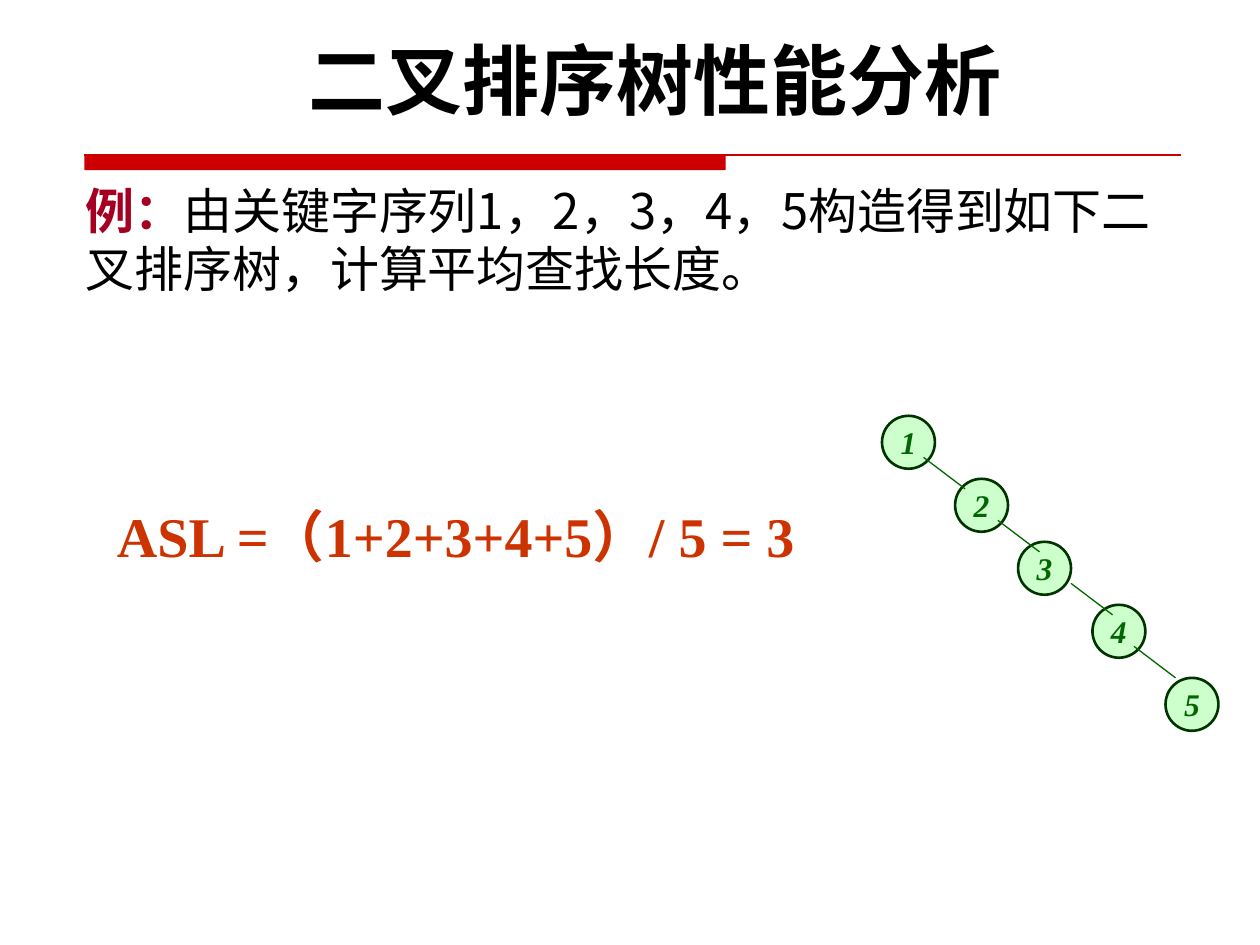
from dataclasses import dataclass

from lxml.etree import SubElement
from pptx import Presentation
from pptx.dml.color import RGBColor
from pptx.enum.shapes import MSO_CONNECTOR, MSO_SHAPE
from pptx.enum.text import MSO_ANCHOR, PP_ALIGN
from pptx.oxml.ns import qn
from pptx.slide import Slide
from pptx.text.text import _Paragraph as Paragraph, _Run as Run
from pptx.util import Inches, Pt


@dataclass(frozen=True)
class Theme:
    black: str = "000000"
    rule: str = "CC0000"
    label: str = "A50021"
    formula: str = "CC3300"
    node_fill: str = "CCFFCC"
    node_line: str = "003300"
    edge: str = "006600"
    title_font: str = "Karla"
    body_font: str = "Noto Sans CJK SC"
    formula_font: str = "Times New Roman"
    title_size: int = 44
    formula_size: int = 32
    body_size: int = 28
    node_size: int = 18
    node_width: float = 1.5
    edge_width: float = 0.75


@dataclass(frozen=True)
class Node:
    key: str
    left: float
    top: float


@dataclass(frozen=True)
class Edge:
    left: float
    top: float
    width: float = 0.33
    height: float = 0.25


THEME = Theme()
NODE_DIAMETER = 0.42
NODES = [
    Node("1", 7, 3.3),
    Node("2", 7.58, 3.8),
    Node("3", 8.08, 4.3),
    Node("4", 8.67, 4.8),
    Node("5", 9.25, 5.38),
]
EDGES = [Edge(left, 3.63 + 0.5 * level) for level, left in enumerate((7.33, 7.92, 8.5, 9))]


def color(value: str) -> RGBColor:
    return RGBColor.from_string(value)


def style_run(run: Run, font: str, size: int, value: str, bold: bool = False, italic: bool = False) -> None:
    run.font.name = font
    run.font.size = Pt(size)
    run.font.bold = bold
    run.font.italic = italic
    run.font.color.rgb = color(value)
    east_asian = SubElement(run.font._element, qn("a:ea"))
    east_asian.set("typeface", THEME.body_font)


def add_text(slide: Slide, left: float, top: float, width: float, height: float) -> Paragraph:
    box = slide.shapes.add_textbox(Inches(left), Inches(top), Inches(width), Inches(height))
    box.text_frame.word_wrap = True
    return box.text_frame.paragraphs[0]


def add_line(slide: Slide, left: float, top: float, right: float, bottom: float, value: str) -> None:
    line = slide.shapes.add_connector(
        MSO_CONNECTOR.STRAIGHT, Inches(left), Inches(top), Inches(right), Inches(bottom)
    )
    line.line.color.rgb = color(value)
    line.line.width = Pt(THEME.edge_width)
    SubElement(line._element.spPr, qn("a:effectLst"))


def add_title_rule(slide: Slide) -> None:
    bar = slide.shapes.add_shape(
        MSO_SHAPE.RECTANGLE, Inches(0.67), Inches(1.23), Inches(5.09), Inches(0.12)
    )
    bar.shadow.inherit = False
    bar.fill.solid()
    bar.fill.fore_color.rgb = color(THEME.rule)
    bar.line.fill.background()
    add_line(slide, 0.67, 1.23, 9.37, 1.23, THEME.rule)


def add_title(slide: Slide) -> None:
    paragraph = add_text(slide, 0.58, 0.21, 9.25, 0.84)
    paragraph.text = "二叉排序树性能分析"
    paragraph.alignment = PP_ALIGN.CENTER
    style_run(paragraph.runs[0], THEME.title_font, THEME.title_size, THEME.black, bold=True)


def add_example(slide: Slide) -> None:
    paragraph = add_text(slide, 0.58, 1.38, 8.75, 1.04)
    paragraph.text = "例："
    style_run(paragraph.runs[0], THEME.body_font, THEME.body_size, THEME.label, bold=True)
    question = paragraph.add_run()
    question.text = "由关键字序列1，2，3，4，5构造得到如下二叉排序树，计算平均查找长度。"
    style_run(question, THEME.body_font, THEME.body_size, THEME.black)


def add_formula(slide: Slide) -> None:
    paragraph = add_text(slide, 0.83, 3.85, 6.25, 0.67)
    paragraph.text = "ASL =（1+2+3+4+5）/ 5 = 3"
    paragraph.line_spacing = 1.15
    style_run(paragraph.runs[0], THEME.formula_font, THEME.formula_size, THEME.formula, bold=True)


def add_node(slide: Slide, node: Node) -> None:
    diameter = Inches(NODE_DIAMETER)
    circle = slide.shapes.add_shape(
        MSO_SHAPE.OVAL, Inches(node.left), Inches(node.top), diameter, diameter
    )
    circle.shadow.inherit = False
    circle.fill.solid()
    circle.fill.fore_color.rgb = color(THEME.node_fill)
    circle.line.color.rgb = color(THEME.node_line)
    circle.line.width = Pt(THEME.node_width)
    frame = circle.text_frame
    frame.word_wrap = False
    frame.vertical_anchor = MSO_ANCHOR.MIDDLE
    frame.text = node.key
    paragraph = frame.paragraphs[0]
    paragraph.alignment = PP_ALIGN.CENTER
    style_run(paragraph.runs[0], THEME.formula_font, THEME.node_size, THEME.edge, bold=True, italic=True)


def main() -> None:
    presentation = Presentation()
    presentation.slide_width = Inches(10)
    presentation.slide_height = Inches(7.5)
    slide = presentation.slides.add_slide(presentation.slide_layouts[6])
    add_title_rule(slide)
    add_example(slide)
    for node in NODES:
        add_node(slide, node)
    for edge in EDGES:
        add_line(slide, edge.left, edge.top, edge.left + edge.width, edge.top + edge.height, THEME.edge)
    add_formula(slide)
    add_title(slide)
    presentation.save("out.pptx")


if __name__ == "__main__":
    main()
